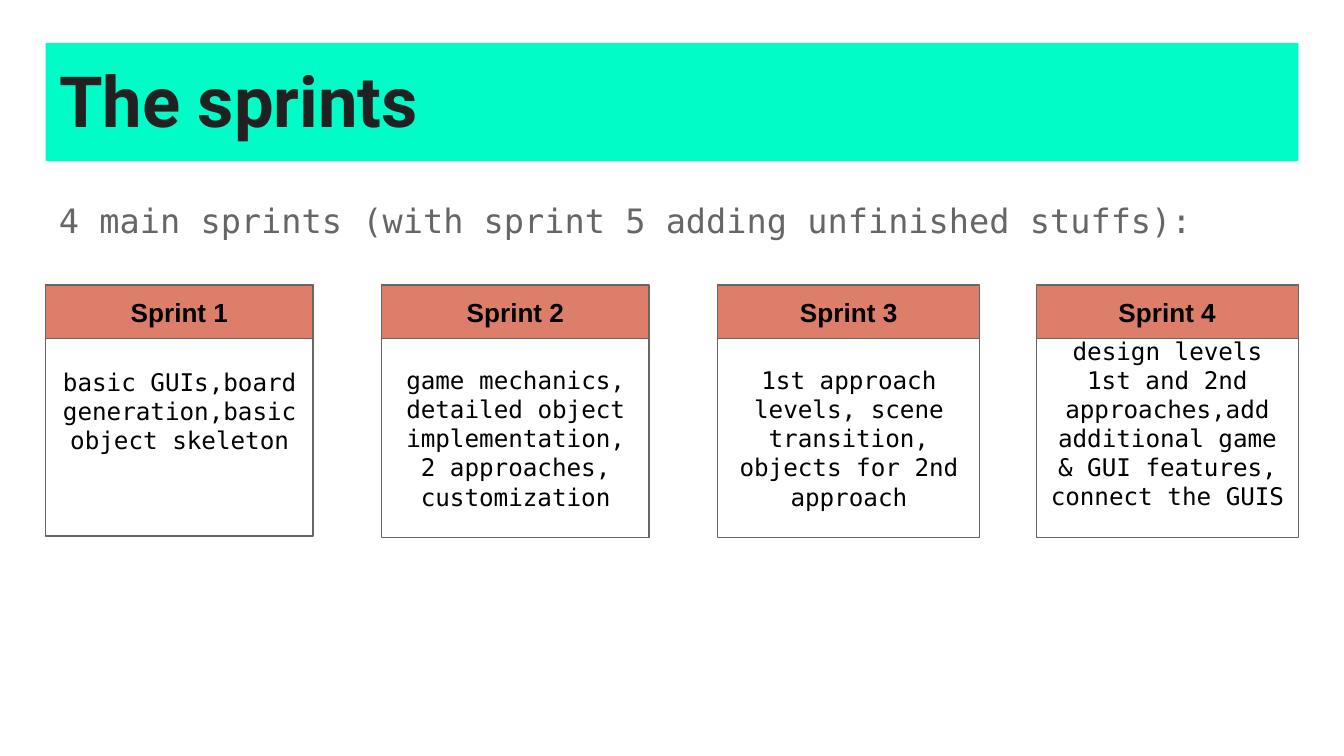
from pptx import Presentation
from pptx.dml.color import RGBColor
from pptx.enum.shapes import MSO_SHAPE
from pptx.enum.text import MSO_ANCHOR, MSO_AUTO_SIZE, PP_ALIGN
from pptx.util import Inches, Pt

LEFT, WIDE = 0.34, 9.32
TOP, HEAD, BODY = 2.12, 0.4, 1.48
MONO = "DejaVu Sans Mono"


def color(code):
    return RGBColor.from_string(code)


def write(shape, text, font, size, code, bold=False,
          align=PP_ALIGN.CENTER, anchor=MSO_ANCHOR.MIDDLE):
    """Fill the shape's frame with one styled paragraph."""
    frame = shape.text_frame
    frame.text = text
    frame.word_wrap = True
    frame.auto_size = MSO_AUTO_SIZE.NONE
    frame.vertical_anchor = anchor
    frame.margin_left = frame.margin_right = Inches(0.1)
    frame.margin_top = frame.margin_bottom = Inches(0.1)
    para = frame.paragraphs[0]
    para.alignment = align
    style = para.runs[0].font
    style.name, style.size, style.bold = font, Pt(size), bold
    style.color.rgb = color(code)
    return para


deck = Presentation()
deck.slide_width = Inches(10)
deck.slide_height = deck.slide_width * 9 // 16
slide = deck.slides.add_slide(deck.slide_layouts[5])

title = slide.shapes.title
title.left, title.top = Inches(LEFT), Inches(0.32)
title.width, title.height = Inches(WIDE), Inches(0.88)
title.fill.solid()
title.fill.fore_color.rgb = color("00FDC8")
write(title, "The sprints", "Roboto", 37.8, "212121", True,
      PP_ALIGN.LEFT, MSO_ANCHOR.TOP)

intro = slide.shapes.add_textbox(
    Inches(LEFT), Inches(1.34), Inches(WIDE), Inches(3.65))
para = write(intro, "4 main sprints (with sprint 5 adding unfinished stuffs):",
             MONO, 18, "666666", align=PP_ALIGN.LEFT, anchor=MSO_ANCHOR.TOP)
para.line_spacing = 1.15
para.space_after = Pt(12)

# Left edge, width, top and height of the body, bottom inset, text
cards = [
    (LEFT, 1.99, TOP, 1.87, 0.1,
     "basic GUIs,board generation,basic object skeleton"),
    (2.84, 1.99, TOP + HEAD, BODY, 0.1,
     "game mechanics, detailed object implementation, 2 approaches, "
     "customization"),
    (5.34, 1.95, TOP + HEAD, BODY, 0.1,
     "1st approach levels, scene transition, objects for 2nd approach"),
    (7.71, 1.95, TOP + HEAD, BODY, 0.32,
     "design levels 1st and 2nd approaches,add additional game "
     "& GUI features, connect the GUIS"),
]

for num, (left, width, top, height, inset, text) in enumerate(cards, 1):
    parts = [
        (top, height, "FFFFFF", text, MONO, 13, False),
        (TOP, HEAD, "DD7E6B", f"Sprint {num}", "Arial", 14, True),
    ]
    for y, tall, fill, words, font, size, bold in parts:
        box = slide.shapes.add_shape(
            MSO_SHAPE.RECTANGLE,
            Inches(left), Inches(y), Inches(width), Inches(tall))
        box.shadow.inherit = False
        box.fill.solid()
        box.fill.fore_color.rgb = color(fill)
        box.line.color.rgb = color("666666")
        box.line.width = Pt(0.75)
        write(box, words, font, size, "000000", bold)
        if words == text:
            box.text_frame.margin_bottom = Inches(inset)

deck.save("out.pptx")
